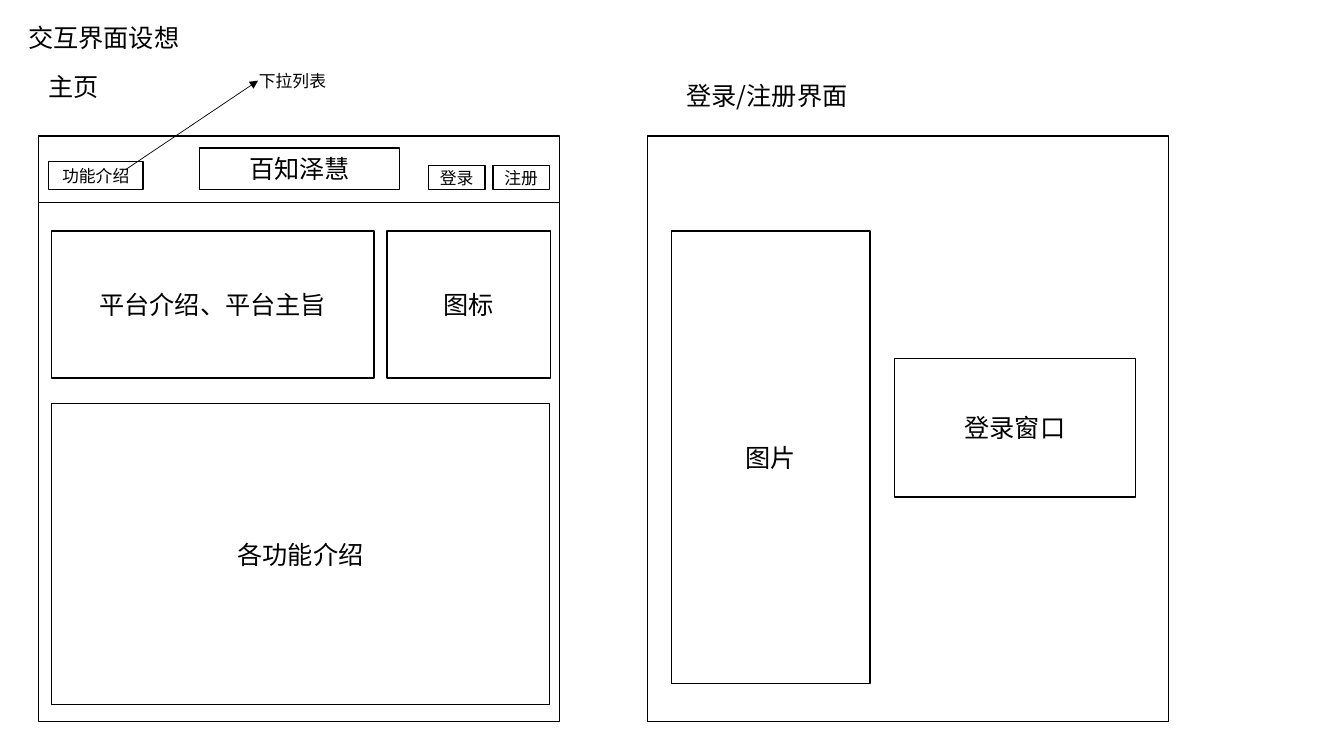
from pptx import Presentation
from pptx.dml.color import RGBColor
from pptx.enum.shapes import MSO_CONNECTOR, MSO_SHAPE
from pptx.enum.text import MSO_ANCHOR, MSO_AUTO_SIZE, PP_ALIGN
from pptx.oxml.ns import qn
from pptx.util import Inches, Pt
from lxml import etree

RECT = MSO_SHAPE.RECTANGLE
STRAIGHT = MSO_CONNECTOR.STRAIGHT
MIDDLE = MSO_ANCHOR.MIDDLE
CENTER = PP_ALIGN.CENTER
GROW = MSO_AUTO_SIZE.SHAPE_TO_FIT_TEXT


def color(value):
    return RGBColor.from_string(value)


class Wireframe:
    font = "Noto Sans CJK SC"
    ink = "000000"
    paper = "FFFFFF"

    def __init__(self, slide):
        self.shapes = slide.shapes

    def set_text(self, tf, text, size):
        tf.word_wrap = True
        tf.text = text
        p = tf.paragraphs[0]
        for r in p.runs:
            r.font.size = Pt(size)
            r.font.name = self.font
            r.font.color.rgb = color(self.ink)
            ea = etree.SubElement(r.font._element, qn("a:ea"))
            ea.set("typeface", self.font)
        return p

    def label(self, left, top, width, height, text, size=18):
        sp = self.shapes.add_textbox(Inches(left), Inches(top), Inches(width), Inches(height))
        self.set_text(sp.text_frame, text, size)
        sp.text_frame.auto_size = GROW

    def box(self, left, top, width, height, text="", size=18):
        sp = self.shapes.add_shape(RECT, Inches(left), Inches(top), Inches(width), Inches(height))
        sp.shadow.inherit = False
        sp.fill.solid()
        sp.fill.fore_color.rgb = color(self.paper)
        sp.line.color.rgb = color(self.ink)
        sp.line.width = Pt(1)
        if text:
            p = self.set_text(sp.text_frame, text, size)
            p.alignment = CENTER
            sp.text_frame.vertical_anchor = MIDDLE

    def line(self, x1, y1, x2, y2, width=1, arrow=False):
        cx = self.shapes.add_connector(STRAIGHT, Inches(x1), Inches(y1), Inches(x2), Inches(y2))
        cx.line.color.rgb = color(self.ink)
        cx.line.width = Pt(width)
        sp_pr = cx._element.spPr
        if arrow:
            ln = sp_pr.find(qn("a:ln"))
            etree.SubElement(ln, qn("a:tailEnd")).set("type", "triangle")
        etree.SubElement(sp_pr, qn("a:effectLst"))


def draw_home(w):
    left, top, width = 0.38, 1.35, 5.17
    w.label(left, 0.66, 1.04, 0.4, "主页")
    w.box(left, top, width, 5.81)
    w.line(left, 2.01, left + width, 2.01)
    w.box(1.98, 1.47, 1.98, 0.41, "百知泽慧")
    for i, text in enumerate(("登录", "注册")):
        w.box(4.25 + 0.64 * i, 1.64, 0.56, 0.24, text, 12)
    w.box(0.48, 1.6, 0.94, 0.28, "功能介绍", 12)
    w.line(1.25, 1.68, 2.56, 0.8, 0.5, arrow=True)
    w.label(2.47, 0.65, 0.96, 0.3, "下拉列表", 12)
    w.box(0.51, 2.29, 3.2, 1.46, "平台介绍、平台主旨")
    w.box(3.84, 2.29, 1.62, 1.46, "图标")
    w.box(0.51, 4, 4.94, 2.99, "各功能介绍")


def draw_login(w):
    w.label(6.71, 0.75, 1.97, 0.4, "登录/注册界面")
    w.box(6.42, 1.35, 5.17, 5.81)
    w.box(6.66, 2.29, 1.97, 4.49, "图片")
    w.box(8.87, 3.56, 2.39, 1.37, "登录窗口")


def main():
    prs = Presentation()
    prs.slide_width = Inches(13.33)
    prs.slide_height = Inches(7.5)
    w = Wireframe(prs.slides.add_slide(prs.slide_layouts[6]))
    w.label(0.18, 0.17, 1.99, 0.4, "交互界面设想")
    draw_home(w)
    draw_login(w)
    prs.save("out.pptx")


if __name__ == "__main__":
    main()
